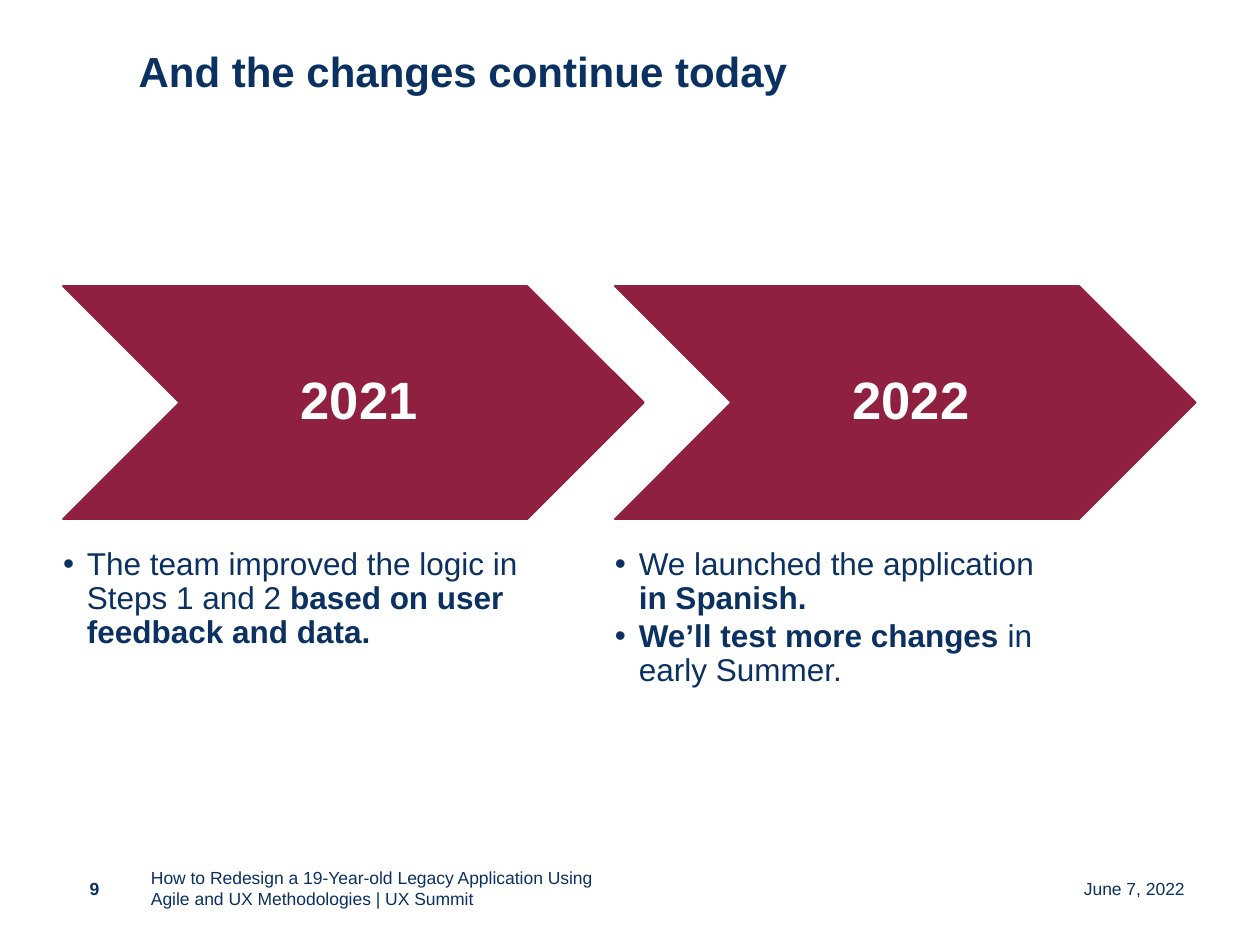
from lxml.etree import SubElement
from pptx import Presentation
from pptx.dml.color import RGBColor
from pptx.enum.shapes import MSO_SHAPE
from pptx.enum.text import MSO_ANCHOR, PP_ALIGN
from pptx.oxml.ns import qn
from pptx.util import Inches, Pt

COLORS = {"navy": "0A3161", "maroon": "8F2040", "white": "FFFFFF"}
FONT = "Arial"
YEARS = [
    ("2021", [
        [("The team improved the logic in Steps 1 and 2 ", False),
         ("based on user feedback and data.", True)],
    ]),
    ("2022", [
        [("We launched the application ", False), ("\n", False), ("in Spanish.", True)],
        [("We’ll test more changes ", True), ("in early Summer.", False)],
    ]),
]
FIRST_LEFT, COLUMN_STEP = 0.5, 4.38
CHEVRON_TOP, CHEVRON_WIDTH, CHEVRON_HEIGHT = 2.27, 4.61, 1.85
FOOTER_TOP, FOOTER_HEIGHT = 6.85, 0.4


def color(name):
    return RGBColor.from_string(COLORS[name])


def format_run(span, size, name="navy", bold=False):
    span.font.name = FONT
    span.font.size = Pt(size)
    span.font.bold = bold
    span.font.color.rgb = color(name)


def set_insets(frame, left, top, right, bottom):
    frame.margin_left, frame.margin_top = Inches(left), Inches(top)
    frame.margin_right, frame.margin_bottom = Inches(right), Inches(bottom)


def add_text_box(page, left, top, width, height, anchor=MSO_ANCHOR.MIDDLE):
    box = page.shapes.add_textbox(Inches(left), Inches(top), Inches(width), Inches(height))
    box.text_frame.word_wrap = True
    box.text_frame.vertical_anchor = anchor
    return box.text_frame


def add_label(page, text, left, top, width, height, size, align, name="navy", bold=False):
    frame = add_text_box(page, left, top, width, height)
    frame.text = text
    para = frame.paragraphs[0]
    para.alignment = align
    format_run(para.runs[0], size, name, bold)
    return frame


def set_title(page, text):
    title = page.shapes.title
    title.left, title.top = Inches(1), Inches(0.21)
    title.width, title.height = Inches(6), Inches(0.75)
    frame = title.text_frame
    frame.text = text
    frame.word_wrap = True
    frame.vertical_anchor = MSO_ANCHOR.MIDDLE
    para = frame.paragraphs[0]
    para.alignment = PP_ALIGN.LEFT
    para.line_spacing = 0.9
    format_run(para.runs[0], 24, bold=True)


def add_chevron(page, left, year):
    chevron = page.shapes.add_shape(
        MSO_SHAPE.CHEVRON, Inches(left), Inches(CHEVRON_TOP),
        Inches(CHEVRON_WIDTH), Inches(CHEVRON_HEIGHT))
    chevron.shadow.inherit = False
    chevron.fill.solid()
    chevron.fill.fore_color.rgb = color("maroon")
    chevron.line.color.rgb = color("maroon")
    chevron.line.width = Pt(1)
    label_left = left + CHEVRON_HEIGHT / 2
    label_width = CHEVRON_WIDTH - CHEVRON_HEIGHT
    frame = add_label(page, year, label_left, CHEVRON_TOP, label_width, CHEVRON_HEIGHT,
                      30, PP_ALIGN.CENTER, "white", True)
    set_insets(frame, 0.13, 0.04, 0.04, 0.04)
    frame.paragraphs[0].line_spacing = 0.9


def make_bullet(para):
    properties = para._p.get_or_add_pPr()
    properties.set("marL", str(Inches(0.19)))
    properties.set("indent", str(Inches(-0.19)))
    para.level = 1
    para.line_spacing = 0.9
    para.space_after = Pt(2.5)
    SubElement(properties, qn("a:buFont"), typeface=FONT)
    SubElement(properties, qn("a:buChar"), char="•")


def add_bullets(page, left, bullets):
    frame = add_text_box(page, left, 4.35, 3.69, 1.28, MSO_ANCHOR.TOP)
    set_insets(frame, 0, 0, 0, 0)
    for index, pieces in enumerate(bullets):
        para = frame.add_paragraph() if index else frame.paragraphs[0]
        make_bullet(para)
        for text, bold in pieces:
            if text == "\n":
                para.add_line_break()
                continue
            span = para.add_run()
            span.text = text
            format_run(span, 18, bold=bold)


def add_footer(page):
    footers = [
        ("9", 0.5, 0.5, PP_ALIGN.CENTER, True),
        ("How to Redesign a 19-Year-old Legacy Application Using "
         "Agile and UX Methodologies | UX Summit", 1.1, 4, PP_ALIGN.LEFT, False),
        ("June 7, 2022", 7.32, 2.18, PP_ALIGN.RIGHT, False),
    ]
    for text, left, width, align, bold in footers:
        add_label(page, text, left, FOOTER_TOP, width, FOOTER_HEIGHT, 10, align, bold=bold)


def main():
    deck = Presentation()
    deck.slide_width, deck.slide_height = Inches(10), Inches(7.5)
    page = deck.slides.add_slide(deck.slide_layouts[5])
    set_title(page, "And the changes continue today")
    for index, (year, bullets) in enumerate(YEARS):
        left = FIRST_LEFT + index * COLUMN_STEP
        add_chevron(page, left, year)
        add_bullets(page, left, bullets)
    add_footer(page)
    deck.save("out.pptx")


if __name__ == "__main__":
    main()
